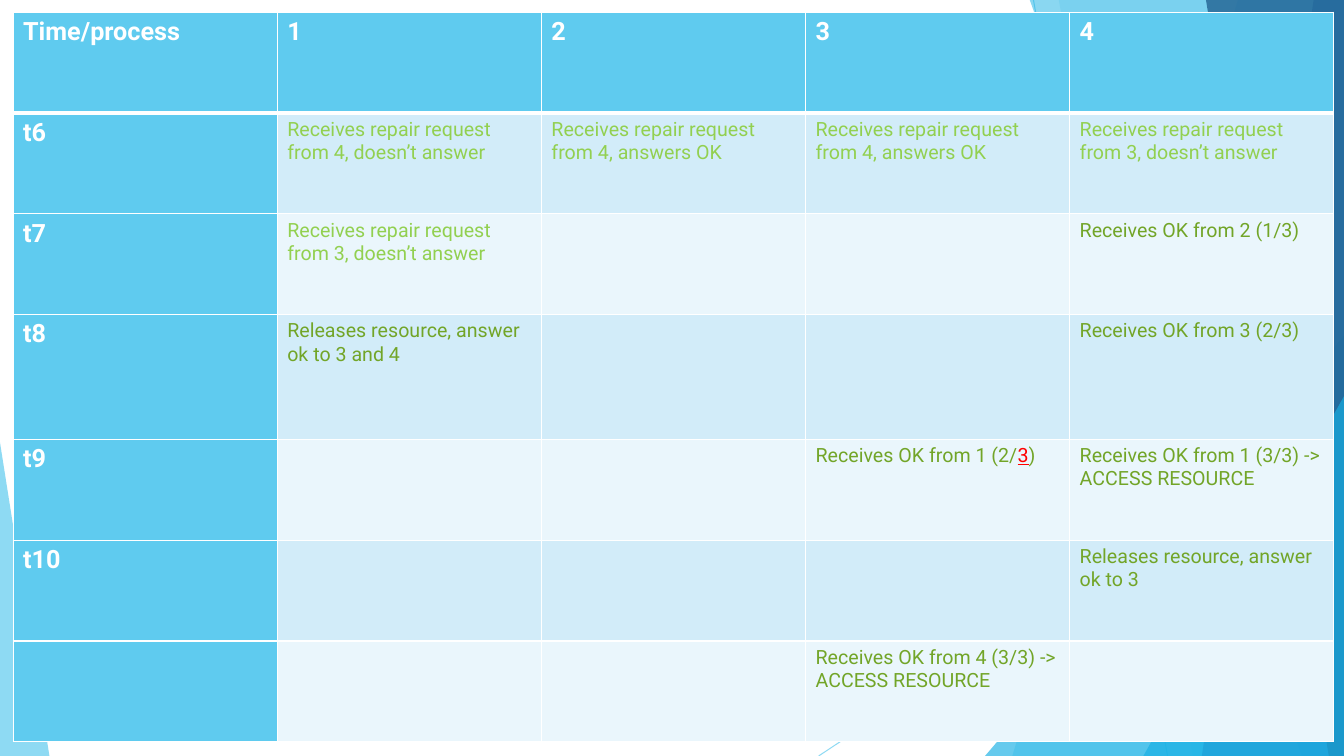
"""Build a slide with a timetable of resource requests between four processes."""
from dataclasses import dataclass

from lxml.etree import SubElement
from pptx import Presentation
from pptx.dml.color import RGBColor
from pptx.enum.shapes import MSO_CONNECTOR as Connector, MSO_SHAPE as Shape
from pptx.oxml.ns import qn
from pptx.util import Inches, Pt

SKY = RGBColor(0x5F, 0xCB, 0xEF)
AZURE = RGBColor(0x17, 0xB0, 0xE4)
BLUE = RGBColor(0x2E, 0x83, 0xC3)
NAVY = RGBColor(0x22, 0x62, 0x92)
WHITE = RGBColor(0xFF, 0xFF, 0xFF)
BANDS = (RGBColor(0xEA, 0xF6, 0xFC), RGBColor(0xD2, 0xEC, 0xF9))
LIME = RGBColor(0x92, 0xD0, 0x50)
GREEN = RGBColor(0x72, 0xA5, 0x28)
RED = RGBColor(0xFF, 0x00, 0x00)
FONT = "Roboto"
RIGHT, TOP, BOTTOM = 13.33, -0.01, 7.5


@dataclass(frozen=True)
class Ray:
    start: tuple[float, float]
    end: tuple[float, float]


@dataclass(frozen=True)
class Blade:
    """Panel reaching the right edge, with a slanted left side."""
    top_left: float
    bottom_left: float
    color: RGBColor
    opacity: int


@dataclass(frozen=True)
class Wedge:
    left: float
    top: float
    width: float
    apex: float
    color: RGBColor
    opacity: int


@dataclass(frozen=True)
class Phrase:
    text: str
    color: RGBColor = GREEN
    size: int = 14
    bold: bool = False
    underline: bool = False


RAYS = (Ray((10.25, 0), (11.58, BOTTOM)), Ray((RIGHT, 4.03), (8.12, BOTTOM)))
BACKDROP = (
    Blade(12.28, 10.04, SKY, 36),
    Blade(10.5, 11.83, SKY, 20),
    Wedge(9.77, 3.33, 3.56, 1, AZURE, 66),
    Blade(10.21, 12.91, AZURE, 50),
    Blade(13.03, 11.92, BLUE, 70),
    Blade(11.96, 13.18, NAVY, 80),
    Wedge(11.34, 3.93, 1.99, 1, AZURE, 66),
    Wedge(0, 4.39, 0.49, 0, SKY, 70),
)

PROCESSES = ("Time/process", "1", "2", "3", "4")
TIMES = ("t6", "t7", "t8", "t9", "t10", "")
ROW_HEIGHTS = (1, 1, 1, 1.24, 1, 1, 1)
COLUMN_WIDTH = 2.62
EVENTS = {
    (1, 1): (Phrase("Receives repair request from 4, doesn’t answer", LIME),),
    (1, 2): (Phrase("Receives repair request from 4, answers OK", LIME),),
    (1, 3): (Phrase("Receives repair request from 4, answers OK", LIME),),
    (1, 4): (Phrase("Receives repair request from 3, doesn’t answer", LIME),),
    (2, 1): (Phrase("Receives repair request from 3, doesn’t answer", LIME),),
    (2, 4): (Phrase("Receives OK from 2 (1/3)"),),
    (3, 1): (Phrase("Releases resource, answer ok to 3 and 4"),),
    (3, 4): (Phrase("Receives OK from 3 (2/3)"),),
    (4, 3): (Phrase("Receives OK from 1 (2/"), Phrase("3", RED, underline=True), Phrase(")")),
    (4, 4): (Phrase("Receives OK from 1 (3/3) -> ACCESS RESOURCE"),),
    (5, 4): (Phrase("Releases resource, answer ok to 3"),),
    (6, 3): (Phrase("Receives OK from 4 (3/3) -> ACCESS RESOURCE"),),
}


def set_opacity(element, percent: int) -> None:
    color = next(element.iter(qn("a:srgbClr")))
    SubElement(color, qn("a:alpha"), val=str(percent * 1000))


def draw_ray(slide, ray: Ray) -> None:
    ends = [Inches(value) for value in ray.start + ray.end]
    line = slide.shapes.add_connector(Connector.STRAIGHT, *ends)
    line.line.color.rgb = SKY
    line.line.width = Pt(0.75)
    properties = line.element.spPr
    set_opacity(properties, 70)
    SubElement(properties, qn("a:effectLst"))


def draw_panel(slide, panel: Blade | Wedge) -> None:
    if isinstance(panel, Blade):
        outline = slide.shapes.build_freeform(Inches(panel.top_left), Inches(TOP))
        corners = ((RIGHT, TOP), (RIGHT, BOTTOM), (panel.bottom_left, BOTTOM))
        outline.add_line_segments([(Inches(x), Inches(y)) for x, y in corners])
        shape = outline.convert_to_shape()
    else:
        shape = slide.shapes.add_shape(
            Shape.ISOSCELES_TRIANGLE, Inches(panel.left), Inches(panel.top),
            Inches(panel.width), Inches(BOTTOM - panel.top))
        shape.adjustments[0] = panel.apex
    shape.shadow.inherit = False
    shape.line.fill.background()
    shape.fill.solid()
    shape.fill.fore_color.rgb = panel.color
    set_opacity(shape.element.spPr, panel.opacity)


def set_borders(cell, row: int) -> None:
    properties = cell._tc.get_or_add_tcPr()
    widths = {"lnL": 1, "lnR": 1, "lnT": 3 if row == 1 else 1, "lnB": 3 if row == 0 else 1}
    for side, width in widths.items():
        border = SubElement(properties, qn(f"a:{side}"), w=str(Pt(width)))
        fill = SubElement(border, qn("a:solidFill"))
        SubElement(fill, qn("a:srgbClr"), val=str(WHITE))


def write_phrases(cell, phrases: tuple[Phrase, ...]) -> None:
    paragraph = cell.text_frame.paragraphs[0]
    for phrase in phrases:
        run = paragraph.add_run()
        run.text = phrase.text
        run.font.name = FONT
        run.font.size = Pt(phrase.size)
        run.font.bold = phrase.bold
        run.font.underline = phrase.underline
        run.font.color.rgb = phrase.color


def draw_timetable(slide) -> None:
    rows, columns = len(ROW_HEIGHTS), len(PROCESSES)
    timetable = slide.shapes.add_table(
        rows, columns, Inches(0.13), Inches(0.12),
        Inches(COLUMN_WIDTH * columns), Inches(sum(ROW_HEIGHTS))).table
    for column in timetable.columns:
        column.width = Inches(COLUMN_WIDTH)
    for row, height in enumerate(ROW_HEIGHTS):
        timetable.rows[row].height = Inches(height)
        for column in range(columns):
            cell = timetable.cell(row, column)
            is_heading = row == 0 or column == 0
            set_borders(cell, row)
            cell.fill.solid()
            cell.fill.fore_color.rgb = SKY if is_heading else BANDS[row % 2]
            if is_heading:
                heading = PROCESSES[column] if row == 0 else TIMES[row - 1]
                phrases = (Phrase(heading, WHITE, 18, bold=True),) if heading else ()
            else:
                phrases = EVENTS.get((row, column), ())
            write_phrases(cell, phrases)


def main() -> None:
    presentation = Presentation()
    presentation.slide_width = Inches(RIGHT)
    presentation.slide_height = Inches(BOTTOM)
    slide = presentation.slides.add_slide(presentation.slide_layouts[6])
    for ray in RAYS:
        draw_ray(slide, ray)
    for panel in BACKDROP:
        draw_panel(slide, panel)
    draw_timetable(slide)
    presentation.save("out.pptx")


if __name__ == "__main__":
    main()
